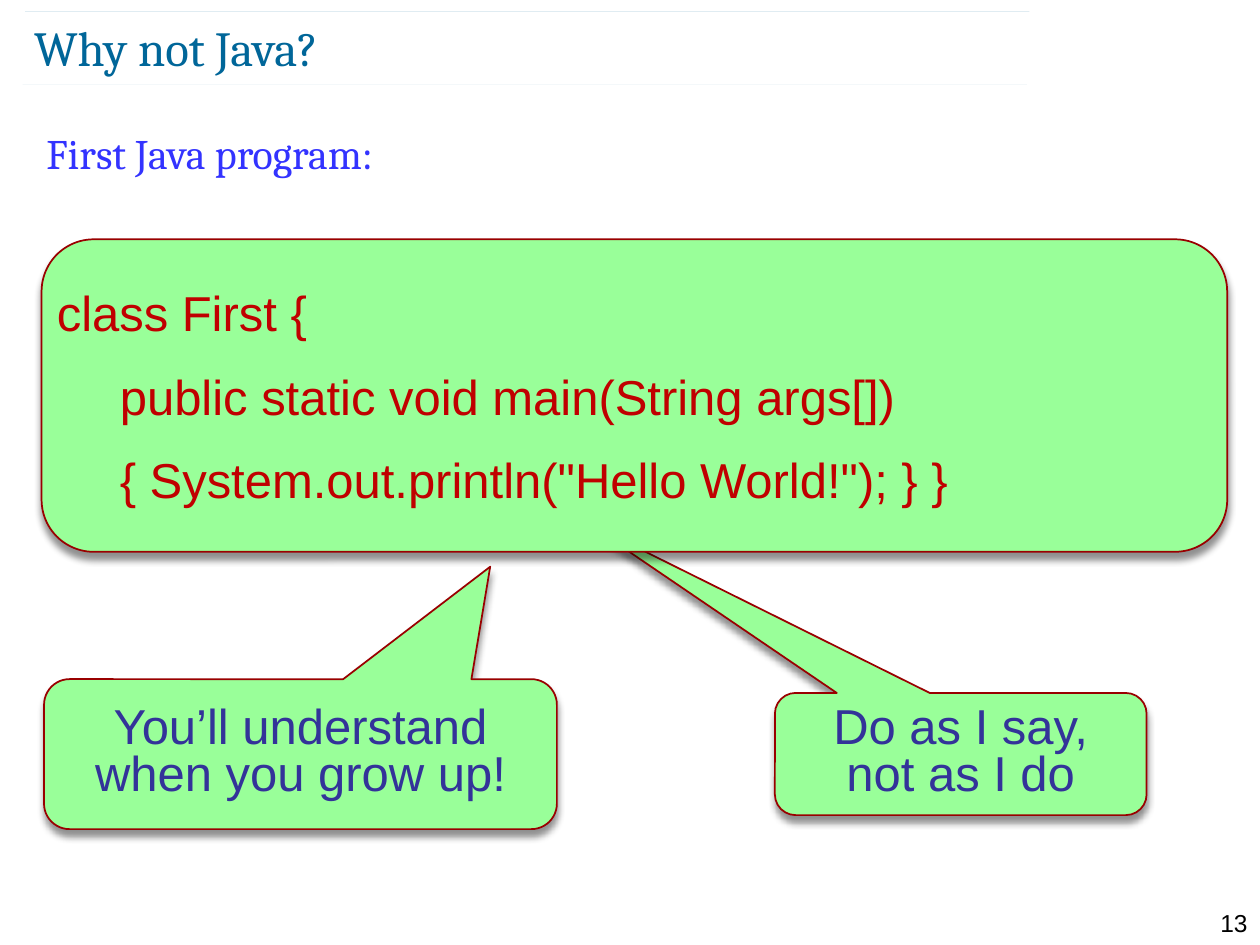
from dataclasses import dataclass

from lxml.etree import SubElement
from pptx import Presentation
from pptx.dml.color import RGBColor
from pptx.enum.shapes import MSO_CONNECTOR, MSO_SHAPE
from pptx.enum.text import MSO_ANCHOR, PP_ALIGN
from pptx.oxml.ns import qn
from pptx.util import Inches, Pt

WIDE, HIGH = Inches(10), Inches(7.5)
HUES = {
    "title": "006699", "body": "3333FF", "code": "C00000", "say": "333399",
    "fill": "99FF99", "edge": "990000", "black": "000000", "page": "FFFFFF",
}
# Frame and paragraph formats, by text role
FRAMES = {
    "title": dict(margin_left=0, margin_right=0, margin_top=0, margin_bottom=0,
                  vertical_anchor=MSO_ANCHOR.MIDDLE),
    "plain": dict(vertical_anchor=MSO_ANCHOR.TOP),
    "shape": dict(margin_left=0, margin_right=0, margin_top=Inches(0.05),
                  margin_bottom=Inches(0.05), vertical_anchor=MSO_ANCHOR.MIDDLE),
}
LEFT = dict(alignment=PP_ALIGN.LEFT)
RIGHT = dict(alignment=PP_ALIGN.RIGHT)
TIGHT = dict(alignment=PP_ALIGN.CENTER, line_spacing=0.8)


@dataclass
class Box:
    """A place on the slide, in percent of its width and height."""
    x: float
    y: float
    w: float
    h: float

    def fit(self) -> tuple[int, int, int, int]:
        return (int(WIDE * self.x / 100), int(HIGH * self.y / 100),
                int(WIDE * self.w / 100), int(HIGH * self.h / 100))


@dataclass
class Bubble:
    kind: MSO_SHAPE
    box: Box
    lines: list[str]
    hue: str
    form: dict
    adj: tuple = ()


BUBBLES = [
    Bubble(MSO_SHAPE.ROUNDED_RECTANGULAR_CALLOUT, Box(3.5, 71.87, 40.7, 15.87),
           ["You’ll understand when you grow up!"], "say", TIGHT, (0.37, -1.25, 0.17)),
    Bubble(MSO_SHAPE.ROUNDED_RECTANGULAR_CALLOUT, Box(61.5, 73.33, 29.5, 12.93),
           ["Do as I say,\vnot as I do"], "say", TIGHT, (-1.01, -1.9, 0.17)),
    Bubble(MSO_SHAPE.ROUNDED_RECTANGLE, Box(3.3, 25.33, 94.1, 33.07),
           ["class First {",
            "\tpublic static void main(String args[])",
            "\t{ System.out.println(\"Hello World!\"); } }"], "code", LEFT),
]


def tint(name: str) -> RGBColor:
    return RGBColor.from_string(HUES[name])


def apply(item, form: dict) -> None:
    for key, val in form.items():
        setattr(item, key, val)


def write(shape, lines: list[str], role: str, form: dict,
          face: str, size: int, hue: str) -> None:
    frame = shape.text_frame
    apply(frame, dict(word_wrap=True, **FRAMES[role]))
    for i, line in enumerate(lines):
        para = frame.add_paragraph() if i else frame.paragraphs[0]
        para.text = line
        apply(para, form)
        if i:
            para.space_before = Pt(size / 2)
        for run in para.runs:
            apply(run.font, dict(name=face, size=Pt(size)))
            run.font.color.rgb = tint(hue)


def fade(clr, share: int) -> None:
    SubElement(clr, qn("a:alpha"), val=str(share * 1000))


def shade(shape) -> None:
    """Give the shape a soft shadow that falls straight down."""
    shape.shadow.inherit = False
    glow = shape._element.spPr.find(qn("a:effectLst"))
    drop = SubElement(glow, qn("a:outerShdw"), blurRad=str(Pt(4)),
                      dist=str(Pt(4)), dir="5400000", rotWithShape="0")
    fade(SubElement(drop, qn("a:srgbClr"), val=HUES["black"]), 43)


def rule(slide, x: float, y: float) -> None:
    left, top, span, _ = Box(x, y, 79.7, 0).fit()
    line = slide.shapes.add_connector(MSO_CONNECTOR.STRAIGHT, left, top, left + span, top)
    line.line.color.rgb = tint("title")
    line.line.width = Pt(0.1)
    spec_el = line._element.spPr
    fade(next(spec_el.iter(qn("a:srgbClr"))), 35)
    SubElement(spec_el, qn("a:effectLst"))


def label(slide, box: Box, text: str, form: dict,
          face: str, size: int, hue: str) -> None:
    write(slide.shapes.add_textbox(*box.fit()), [text], "plain", form, face, size, hue)


def draw(slide, item: Bubble) -> None:
    shape = slide.shapes.add_shape(item.kind, *item.box.fit())
    for i, val in enumerate(item.adj):
        shape.adjustments[i] = val
    shape.fill.solid()
    shape.fill.fore_color.rgb = tint("fill")
    shape.line.color.rgb = tint("edge")
    shape.line.width = Pt(1)
    shade(shape)
    write(shape, item.lines, "shape", item.form, "Arial", 28, item.hue)


def main() -> None:
    deck = Presentation()
    apply(deck, dict(slide_width=WIDE, slide_height=HIGH))
    slide = deck.slides.add_slide(deck.slide_layouts[5])
    slide.background.fill.solid()
    slide.background.fill.fore_color.rgb = tint("page")

    # Title between two hairlines
    rule(slide, 1.8, 8.93)
    rule(slide, 2, 1.2)
    title = slide.shapes.title
    apply(title, dict(zip(("left", "top", "width", "height"),
                          Box(2.7, 1.73, 86.9, 6.4).fit())))
    write(title, ["Why not Java?"], "title", LEFT, "Cambria", 28, "title")

    # Lead line and page number
    label(slide, Box(2.7, 12.8, 94, 9.6), "First Java program:", LEFT, "Cambria", 24, "body")
    label(slide, Box(94.5, 95.47, 5.5, 3.2), "13", RIGHT, "Arial", 14, "black")

    # Callouts, then the code panel over their tips
    for item in BUBBLES:
        draw(slide, item)
    deck.save("out.pptx")


if __name__ == "__main__":
    main()
